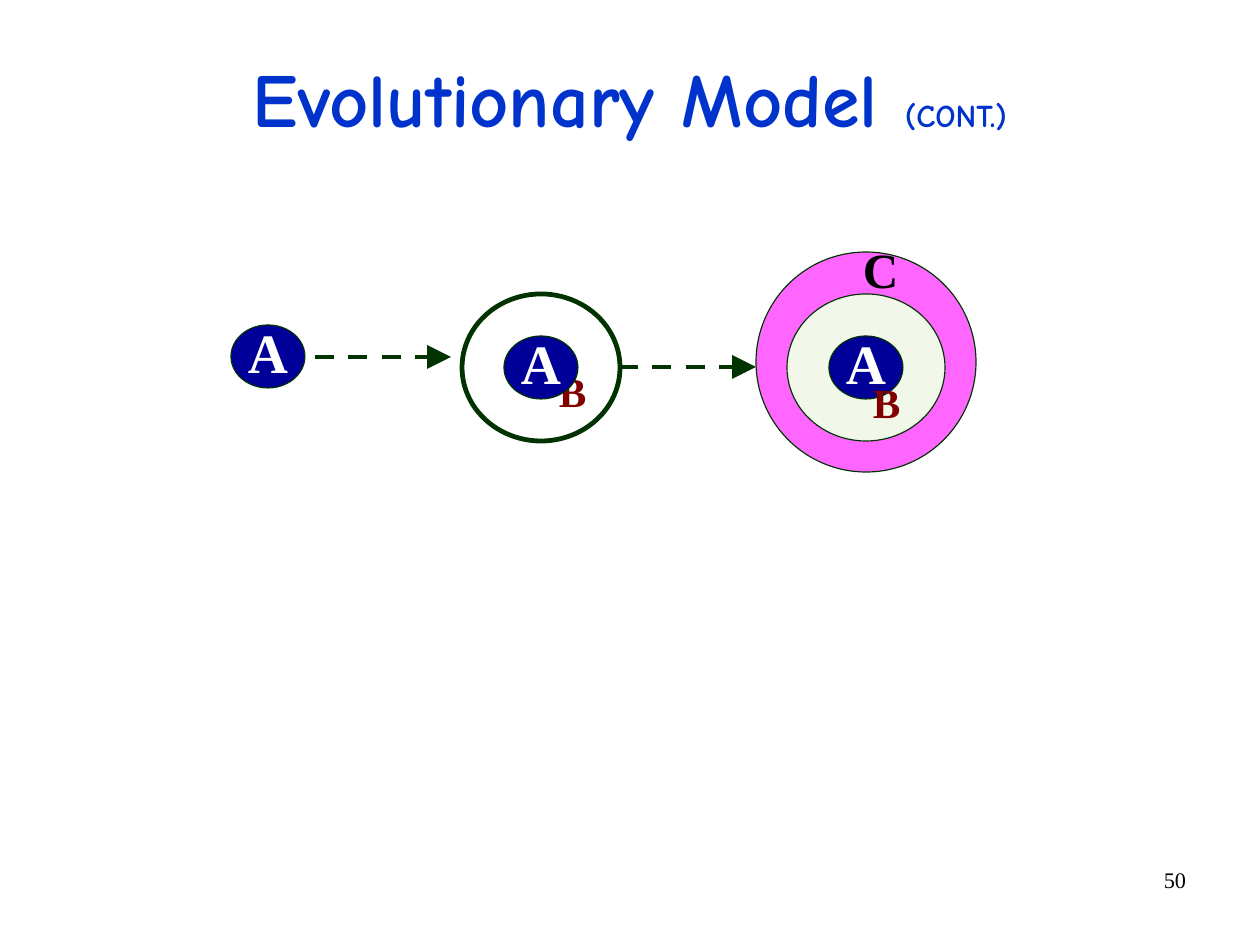
from lxml import etree
from pptx import Presentation
from pptx.dml.color import RGBColor
from pptx.enum import dml, shapes, text
from pptx.oxml.ns import qn
from pptx.util import Pt

PX = 8000  # EMU to the px
SLIDE_SIZE = (1260, 945)
SERIF, COMIC = "Times New Roman", "Comic Neue"
GREEN, NAVY, MAROON, BLUE = "003300", "000099", "800000", "0033CC"
LEFT, CENTER, RIGHT = text.PP_ALIGN.LEFT, text.PP_ALIGN.CENTER, text.PP_ALIGN.RIGHT

# Content: boxes are left, top, width, height
TITLE_BOX = (93, 23, 1074, 157)
TITLE = [("Evolutionary Model ", 48), ("(CONT.)", 20)]
NUMBER_BOX = (903, 860, 294, 65)
NUMBER = "50"
CORE_SIZE, RING_SIZE, OUTER_SIZE = (74, 63), (158, 147), (220, 220)
OUTER_RING = (756, 252, "FF66FF", 0.75)
INNER_RINGS = [(787, 294, "F1F7E9", 0.75), (462, 294, None, 3)]
ARROWS = [(315, 451, 357), (619, 756, 367)]  # start x, end x, y
CORES = [(231, 325), (504, 336), (829, 336)]
RING_B_BEHIND = ("B", (557, 367, 52, 63), 26, MAROON, 15.1)
RING_B_FRONT = ("B", (871, 378, 52, 63), 26, MAROON, 15.1)
RING_C = ("C", (861, 241, 52, 71), 31, "000000", 17.6)


def px(*lengths):
    return [length * PX for length in lengths]


deck = Presentation()
deck.slide_width, deck.slide_height = px(*SLIDE_SIZE)
slide = deck.slides.add_slide(deck.slide_layouts[6])


def color(hex_code):
    return RGBColor.from_string(hex_code)


def write(shape, parts, font, fill, bold=True, align=LEFT, before=0, spacing=None,
          anchor=text.MSO_ANCHOR.TOP, inset=(2, 7)):
    frame = shape.text_frame
    frame.word_wrap = True
    frame.vertical_anchor = anchor
    frame.margin_left = frame.margin_right = inset[0] * PX
    frame.margin_top = frame.margin_bottom = inset[1] * PX
    line = frame.paragraphs[0]
    line.alignment, line.space_before, line.line_spacing = align, Pt(before), spacing
    for words, size in parts:
        run = line.add_run()
        run.text = words
        run.font.name, run.font.size, run.font.bold = font, Pt(size), bold
        run.font.color.rgb = color(fill)


def circle(left, top, size, fill, weight=0.75):
    oval = slide.shapes.add_shape(shapes.MSO_SHAPE.OVAL, *px(left, top, *size))
    oval.shadow.inherit = False
    if fill:
        oval.fill.solid()
        oval.fill.fore_color.rgb = color(fill)
    else:
        oval.fill.background()
    oval.line.color.rgb = color(GREEN)
    oval.line.width = Pt(weight)
    return oval


def ring_label(letter, box, size, fill, before):
    label = slide.shapes.add_textbox(*px(*box))
    write(label, [(letter, size)], SERIF, fill, before=before, spacing=0.85)


def arrow(start, end, y):
    link = slide.shapes.add_connector(shapes.MSO_CONNECTOR.STRAIGHT, *px(start, y, end, y))
    link.line.color.rgb = color(GREEN)
    link.line.width = Pt(3)
    link.line.dash_style = dml.MSO_LINE.DASH
    outline = link._element.spPr.find(qn("a:ln"))
    etree.SubElement(outline, qn("a:tailEnd"), type="triangle", w="lg", len="lg")
    etree.SubElement(link._element.spPr, qn("a:effectLst"))


# Slide number
write(slide.shapes.add_textbox(*px(*NUMBER_BOX)), [(NUMBER, 14)], SERIF, "000000",
      bold=False, align=RIGHT, inset=(11, 6))

# Title
write(slide.shapes.add_textbox(*px(*TITLE_BOX)), TITLE, COMIC, BLUE, align=CENTER,
      before=10, spacing=0.94, anchor=text.MSO_ANCHOR.MIDDLE)

# Rings and the arrows between stages
left, top, fill, weight = OUTER_RING
circle(left, top, OUTER_SIZE, fill, weight)
for left, top, fill, weight in INNER_RINGS:
    circle(left, top, RING_SIZE, fill, weight)
for stage_link in ARROWS:
    arrow(*stage_link)

# Cores, with the middle B partly behind its core
ring_label(*RING_B_BEHIND)
ring_label(*RING_C)
for left, top in CORES:
    write(circle(left, top, CORE_SIZE, NAVY), [("A", 35)], SERIF, "FFFFFF", align=CENTER,
          before=8, spacing=0.85, anchor=text.MSO_ANCHOR.MIDDLE)
ring_label(*RING_B_FRONT)

deck.save("out.pptx")
